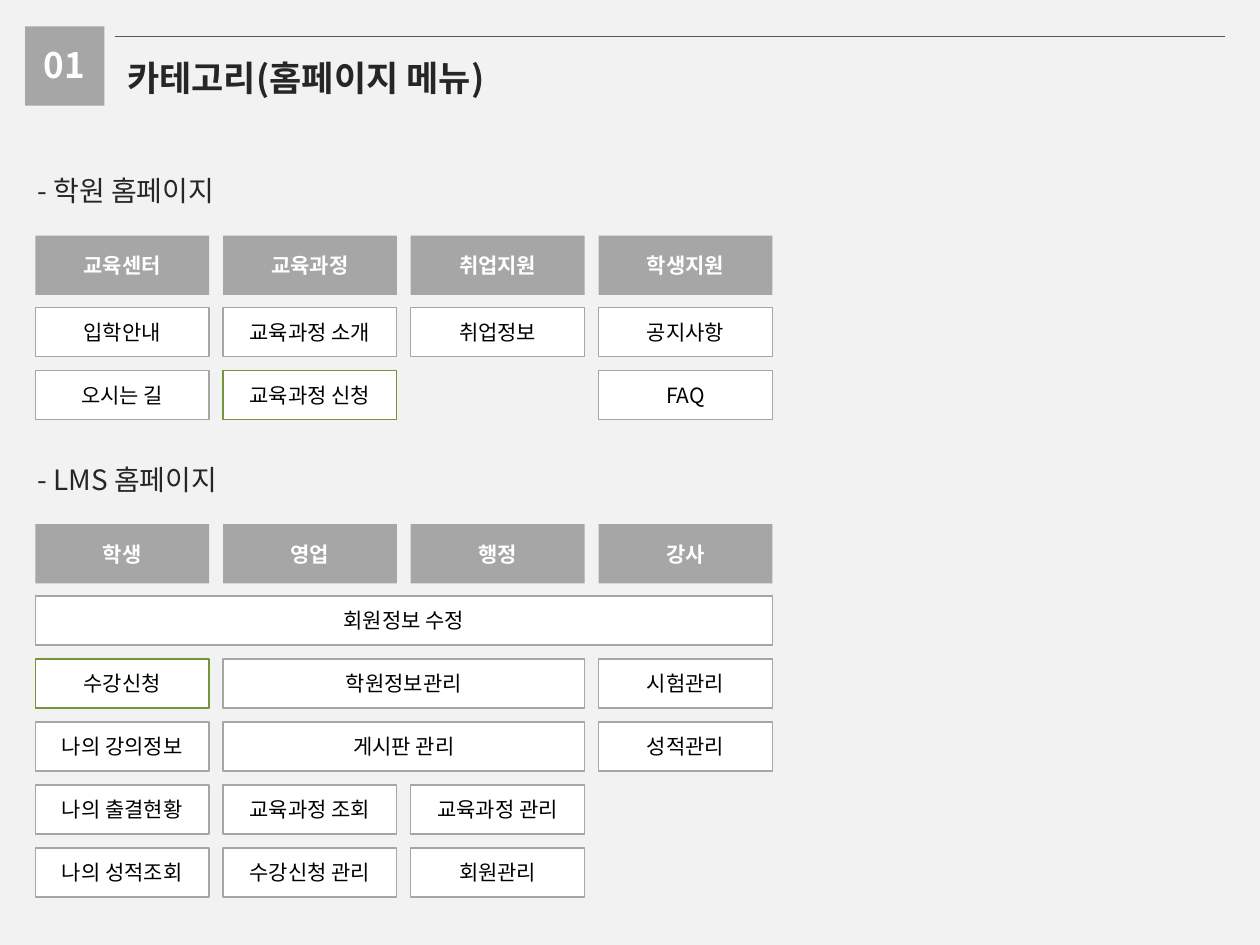
import pptx
import pptx.util
import pptx.dml.color
import pptx.enum.shapes
import pptx.enum.text
import pptx.oxml.ns
from lxml import etree

Inches = pptx.util.Inches
Pt = pptx.util.Pt
qn = pptx.oxml.ns.qn
ALIGN = pptx.enum.text.PP_ALIGN
ANCHOR = pptx.enum.text.MSO_ANCHOR

FONT = "Noto Sans CJK KR"
COLORS = {
    "page": "F2F2F2",
    "grey": "A6A6A6",
    "rule": "595959",
    "dark": "262626",
    "white": "FFFFFF",
    "black": "000000",
    "green": "77933C",
}

# Menu grid
LEFT, COLUMN_STEP, CELL_WIDTH = 0.28, 1.49, 1.38
HEAD_HEIGHT, FIRST_ROW, ROW_STEP, CELL_HEIGHT = 0.47, 0.57, 0.5, 0.39

# Menu entries: (row, column, columns spanned, label, border)
SCHOOL_HEADS = ["교육센터", "교육과정", "취업지원", "학생지원"]
SCHOOL_ITEMS = [
    (0, 0, 1, "입학안내", "grey"),
    (0, 1, 1, "교육과정 소개", "grey"),
    (0, 2, 1, "취업정보", "grey"),
    (0, 3, 1, "공지사항", "grey"),
    (1, 0, 1, "오시는 길", "grey"),
    (1, 1, 1, "교육과정 신청", "green"),
    (1, 3, 1, "FAQ", "grey"),
]
LMS_HEADS = ["학생", "영업", "행정", "강사"]
LMS_ITEMS = [
    (0, 0, 4, "회원정보 수정", "grey"),
    (1, 0, 1, "수강신청", "green"),
    (1, 1, 2, "학원정보관리", "grey"),
    (1, 3, 1, "시험관리", "grey"),
    (2, 0, 1, "나의 강의정보", "grey"),
    (2, 1, 2, "게시판 관리", "grey"),
    (2, 3, 1, "성적관리", "grey"),
    (3, 0, 1, "나의 출결현황", "grey"),
    (3, 1, 1, "교육과정 조회", "grey"),
    (3, 2, 1, "교육과정 관리", "grey"),
    (4, 0, 1, "나의 성적조회", "grey"),
    (4, 1, 1, "수강신청 관리", "grey"),
    (4, 2, 1, "회원관리", "grey"),
]


def rgb(name):
    return pptx.dml.color.RGBColor.from_string(COLORS[name])


def write(box, text, size, color, bold=False, align=ALIGN.LEFT):
    para = box.text_frame.paragraphs[0]
    para.text = text
    para.alignment = align
    font = para.font
    font.size = Pt(size)
    font.bold = bold
    font.color.rgb = rgb(color)
    font.name = FONT
    # Hangul takes its typeface from the East Asian font
    properties = para._p.find(".//" + qn("a:defRPr"))
    etree.SubElement(properties, qn("a:ea"), typeface=FONT)


def fit_label(box, text, size, color, bold=False):
    frame = box.text_frame
    frame.word_wrap = False
    frame.auto_size = pptx.enum.text.MSO_AUTO_SIZE.SHAPE_TO_FIT_TEXT
    frame.vertical_anchor = ANCHOR.TOP
    write(box, text, size, color, bold)


def add_label(page, left, top, width, height, text, size, color, bold=False):
    box = page.shapes.add_textbox(
        Inches(left), Inches(top), Inches(width), Inches(height))
    fit_label(box, text, size, color, bold)


def set_title(page, text):
    title = page.shapes.title
    title.left, title.top = Inches(0.91), Inches(0.4)
    title.width, title.height = Inches(3.3), Inches(0.44)
    fit_label(title, text, 20, "dark", bold=True)


def add_block(page, left, top, width, height, fill, border=None):
    block = page.shapes.add_shape(
        pptx.enum.shapes.MSO_SHAPE.RECTANGLE,
        Inches(left), Inches(top), Inches(width), Inches(height))
    block.shadow.inherit = False
    block.fill.solid()
    block.fill.fore_color.rgb = rgb(fill)
    if border:
        block.line.color.rgb = rgb(border)
        block.line.width = Pt(0.75)
    else:
        block.line.fill.background()
    block.text_frame.vertical_anchor = ANCHOR.MIDDLE
    return block


def add_rule(page, left, right, top):
    rule = page.shapes.add_connector(
        pptx.enum.shapes.MSO_CONNECTOR.STRAIGHT,
        Inches(left), Inches(top), Inches(right), Inches(top))
    rule.line.color.rgb = rgb("rule")
    rule.line.width = Pt(0.75)
    etree.SubElement(rule._element.spPr, qn("a:effectLst"))


def add_menu(page, top, heads, items):
    for column, text in enumerate(heads):
        head = add_block(page, LEFT + column * COLUMN_STEP, top,
                         CELL_WIDTH, HEAD_HEIGHT, "grey")
        write(head, text, 12, "white", bold=True, align=ALIGN.CENTER)
    for row, column, span, text, border in items:
        item = add_block(page, LEFT + column * COLUMN_STEP,
                         top + FIRST_ROW + row * ROW_STEP,
                         CELL_WIDTH + (span - 1) * COLUMN_STEP,
                         CELL_HEIGHT, "white", border)
        write(item, text, 12, "black", align=ALIGN.CENTER)


def main():
    deck = pptx.Presentation()
    deck.slide_width, deck.slide_height = Inches(10), Inches(7.5)
    page = deck.slides.add_slide(deck.slide_layouts[5])
    page.background.fill.solid()
    page.background.fill.fore_color.rgb = rgb("page")

    # Header
    set_title(page, "카테고리(홈페이지 메뉴)")
    add_block(page, 0.2, 0.21, 0.63, 0.63, "grey")
    add_rule(page, 0.91, 9.72, 0.29)
    add_label(page, 0.25, 0.3, 0.53, 0.44, "01", 20, "white", bold=True)

    # School site menu
    add_label(page, 0.2, 1.33, 1.8, 0.37, "- 학원 홈페이지", 16, "dark")
    add_menu(page, 1.87, SCHOOL_HEADS, SCHOOL_ITEMS)

    # LMS site menu
    add_label(page, 0.2, 3.62, 1.78, 0.37, "- LMS 홈페이지", 16, "dark")
    add_menu(page, 4.16, LMS_HEADS, LMS_ITEMS)

    deck.save("out.pptx")


if __name__ == "__main__":
    main()
